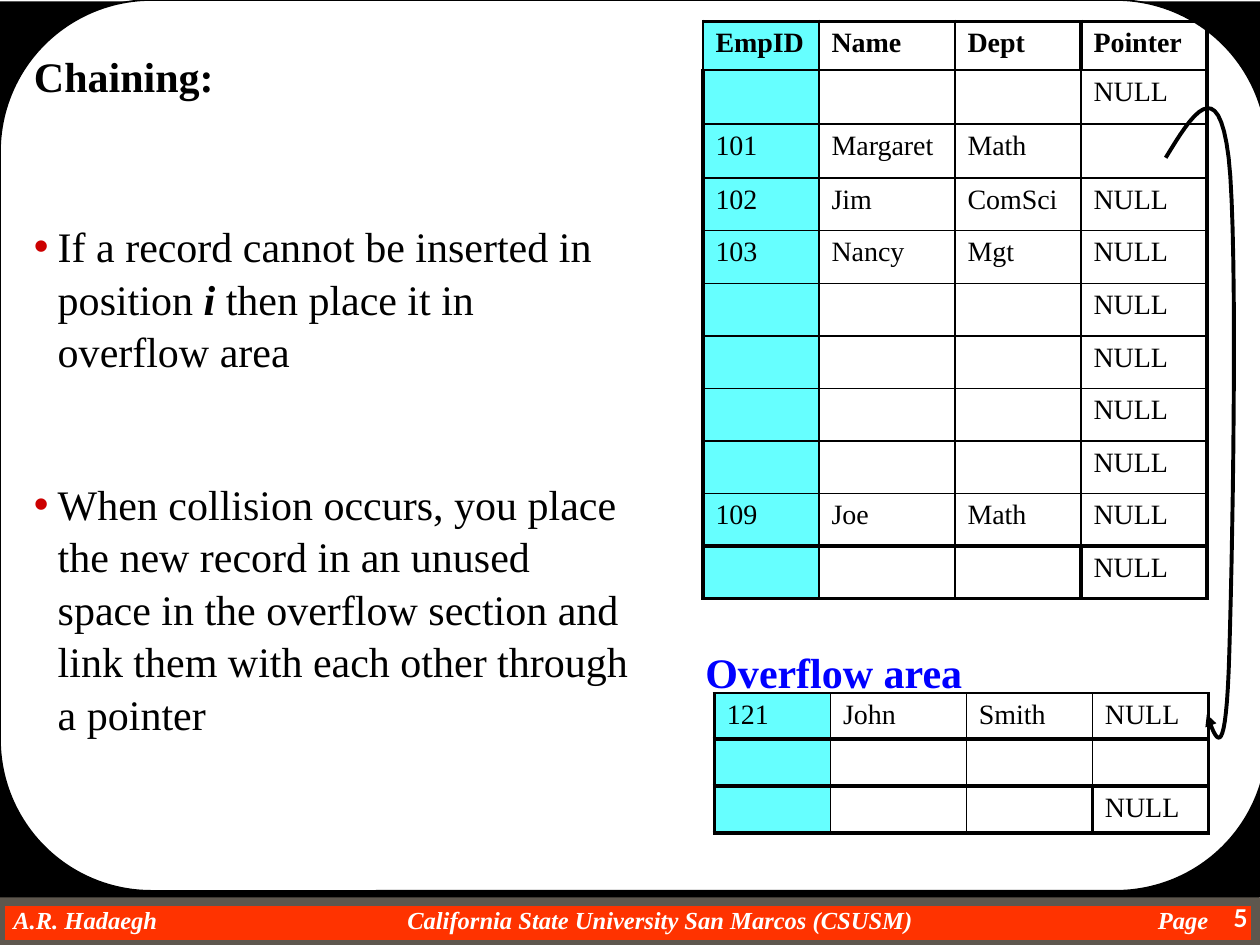
"""Build the slide on chaining with an overflow area."""
import pptx
import pptx.dml.color
import pptx.enum.shapes
import pptx.enum.text
import pptx.oxml
import pptx.oxml.ns
import pptx.util

Cm = pptx.util.Cm
Pt = pptx.util.Pt
ALIGN = pptx.enum.text.PP_ALIGN
SHAPE = pptx.enum.shapes.MSO_SHAPE

THEME = {
    "serif": "Times New Roman", "sans": "Lato",
    "black": "000000", "white": "FFFFFF", "band": "FF3300", "edge": "5E574E",
    "key": "66FFFF", "bullet": "CC0000", "caption": "0000FF",
    "large": 24, "medium": 16, "small": 14, "thick": 2.25, "thin": 1,
}

TITLE = "Chaining:"
POINTS = [
    [("If a record cannot be inserted in position ", False), ("i ", True),
     ("then place it in overflow area", False)],
    [("When collision occurs, you place the new record in an unused space in the "
      "overflow section and link them with each other through a pointer", False)],
]
FOOTER = [
    ("A.R. Hadaegh", 0.27, 6, ALIGN.LEFT),
    ("California State University San Marcos (CSUSM)", 6.31, 14, ALIGN.CENTER),
    ("Page", 20.36, 4, ALIGN.RIGHT),
]
EMPTY = ("", "", "", "NULL")
OVERFLOW_TABLE = {
    "left": 14.4, "top": 13.97, "columns": [2.34, 2.74, 2.54, 2.34], "heights": [0.93] * 3,
    "rows": [("121", "John", "Smith", "NULL"), ("", "", "", ""), EMPTY],
    "header": False, "thick_rules": {1, 2, 3}, "exceptions": {(2, 3)},
}
MAIN_TABLE = {
    "left": 14.17, "top": 0.43, "columns": [2.34, 2.74, 2.54, 2.54],
    "heights": [0.98, 1.09, 1.09] + [1.06] * 8,
    "rows": [("EmpID", "Name", "Dept", "Pointer"), EMPTY,
             ("101", "Margaret", "Math", ""), ("102", "Jim", "ComSci", "NULL"),
             ("103", "Nancy", "Mgt", "NULL"), EMPTY, EMPTY, EMPTY, EMPTY,
             ("109", "Joe", "Math", "NULL"), EMPTY],
    "header": True, "thick_rules": {0, 10, 11}, "exceptions": {(0, 0), (0, 3), (10, 3)},
}
POINTER_START = (23.5, 3.18)
POINTER_CURVES = [
    [(24.03, 2.31), (24.56, 1.45), (24.77, 3.18)],
    [(24.97, 4.9), (24.84, 11.68), (24.77, 13.54)],
    [(24.69, 15.42), (24.51, 14.91), (24.33, 14.4)],
]


def color(name):
    return pptx.dml.color.RGBColor.from_string(THEME[name])


def add_xml(parent, tag, **attributes):
    element = pptx.oxml.parse_xml(f"<a:{tag} {pptx.oxml.ns.nsdecls('a')}/>")
    for name, value in attributes.items():
        element.set(name, str(value))
    parent.append(element)
    return element


def add_text(paragraph, text, size="large", fill="black", font="serif",
             bold=False, italic=False, align=ALIGN.LEFT):
    paragraph.alignment = align
    run = paragraph.add_run()
    run.text = text
    run.font.name = THEME[font]
    run.font.size = Pt(THEME[size])
    run.font.bold = bold
    run.font.italic = italic
    run.font.color.rgb = color(fill)


def add_label(slide, text, box, margin=None, wrap=True, **style):
    frame = slide.shapes.add_textbox(*map(Cm, box)).text_frame
    frame.word_wrap = wrap
    if margin is not None:
        frame.margin_left = frame.margin_right = Cm(margin)
        frame.margin_top = frame.margin_bottom = Cm(margin)
    add_text(frame.paragraphs[0], text, **style)


def add_panel(slide, kind, box, fill, line=None, width=1):
    panel = slide.shapes.add_shape(kind, *map(Cm, box))
    panel.shadow.inherit = False
    panel.fill.solid()
    panel.fill.fore_color.rgb = color(fill)
    if line:
        panel.line.color.rgb = color(line)
        panel.line.width = Pt(width)
    else:
        panel.line.fill.background()
    return panel


def add_backdrop(slide):
    add_panel(slide, SHAPE.RECTANGLE, (0, 18.16, 25.32, 0.89), "band", "edge", 6)
    for text, left, width, align in FOOTER:
        add_label(slide, text, (left, 18.24, width, 0.58), margin=0, size="small",
                  fill="white", bold=True, italic=True, align=align)
    add_panel(slide, SHAPE.RECTANGLE, (0, 0.03, 25.4, 18.06), "black")
    panel = add_panel(slide, SHAPE.ROUNDED_RECTANGLE, (0, 0, 25.55, 17.96), "white", "black")
    panel.adjustments[0] = 0.17
    add_label(slide, "5", (23.5, 18.08, 1.9, 0.97), size="small", fill="white",
              font="sans", bold=True, align=ALIGN.RIGHT)


def place(slide, placeholder, box):
    slide.shapes.element.append(placeholder.element)
    placeholder.left, placeholder.top, placeholder.width, placeholder.height = map(Cm, box)
    frame = placeholder.text_frame
    frame.word_wrap = True
    frame.auto_size = pptx.enum.text.MSO_AUTO_SIZE.NONE
    frame.vertical_anchor = pptx.enum.text.MSO_ANCHOR.TOP
    return frame


def fill_placeholders(slide):
    title, body = slide.placeholders
    frame = place(slide, title, (0.43, 0.9, 12.5, 1.27))
    add_text(frame.paragraphs[0], TITLE, bold=True)
    frame = place(slide, body, (0.43, 4.28, 12.5, 10.5))
    for index, point in enumerate(POINTS):
        paragraph = frame.add_paragraph() if index else frame.paragraphs[0]
        paragraph.line_spacing = 1.04
        paragraph.space_before = Pt(57.6 if index else 0)
        for text, emphasis in point:
            add_text(paragraph, text, bold=emphasis, italic=emphasis)
        properties = paragraph._p.get_or_add_pPr()
        properties.set("marL", str(Cm(0.48)))
        properties.set("indent", str(-Cm(0.48)))
        add_xml(add_xml(properties, "buClr"), "srgbClr", val=THEME["bullet"])
        add_xml(properties, "buChar", char="•")


def set_borders(cell, thick_sides):
    properties = cell._tc.get_or_add_tcPr()
    for index, side in enumerate("LRTB"):
        weight = "thick" if thick_sides[side] else "thin"
        line = add_xml(properties, f"ln{side}", w=Pt(THEME[weight]))
        add_xml(add_xml(line, "solidFill"), "srgbClr", val=THEME["black"])
        properties.insert(index, line)


def add_record_table(slide, data):
    columns, heights = data["columns"], data["heights"]
    box = (data["left"], data["top"], sum(columns), sum(heights))
    table = slide.shapes.add_table(len(heights), len(columns), *map(Cm, box)).table
    table.first_row = table.horz_banding = False
    for column, width in zip(table.columns, columns):
        column.width = Cm(width)

    def thick_vertical(row, edge):
        return (edge in (0, len(columns))) != ((row, edge) in data["exceptions"])

    for row, values in enumerate(data["rows"]):
        table.rows[row].height = Cm(heights[row])
        for column, value in enumerate(values):
            cell = table.cell(row, column)
            paragraph = cell.text_frame.paragraphs[0]
            if value:
                add_text(paragraph, value, size="medium", bold=data["header"] and row == 0)
            else:
                add_xml(paragraph._p, "endParaRPr", sz=THEME["medium"] * 100)
            if column == 0:
                cell.fill.solid()
                cell.fill.fore_color.rgb = color("key")
            else:
                cell.fill.background()
            set_borders(cell, {"L": thick_vertical(row, column),
                               "R": thick_vertical(row, column + 1),
                               "T": row in data["thick_rules"],
                               "B": row + 1 in data["thick_rules"]})


def curve_points(start, controls, steps=16):
    first, second, end = controls
    for step in range(1, steps + 1):
        t = step / steps
        yield tuple(Cm((1 - t) ** 3 * a + 3 * (1 - t) ** 2 * t * b + 3 * (1 - t) * t ** 2 * c + t ** 3 * d)
                    for a, b, c, d in zip(start, first, second, end))


def add_pointer(slide):
    builder = slide.shapes.build_freeform(*map(Cm, POINTER_START))
    start = POINTER_START
    for controls in POINTER_CURVES:
        builder.add_line_segments(curve_points(start, controls), close=False)
        start = controls[-1]
    pointer = builder.convert_to_shape()
    pointer.shadow.inherit = False
    pointer.fill.background()
    pointer.line.color.rgb = color("black")
    pointer.line.width = Pt(THEME["thick"])
    add_xml(pointer.line._get_or_add_ln(), "tailEnd", type="triangle")


def main():
    presentation = pptx.Presentation()
    presentation.slide_width, presentation.slide_height = Cm(25.4), Cm(19.05)
    slide = presentation.slides.add_slide(presentation.slide_layouts[1])
    add_backdrop(slide)
    fill_placeholders(slide)
    for data in (OVERFLOW_TABLE, MAIN_TABLE):
        add_record_table(slide, data)
    add_pointer(slide)
    add_label(slide, "Overflow area", (13.97, 12.9, 5.69, 1.27), wrap=False,
              fill="caption", bold=True)
    presentation.save("out.pptx")


if __name__ == "__main__":
    main()
